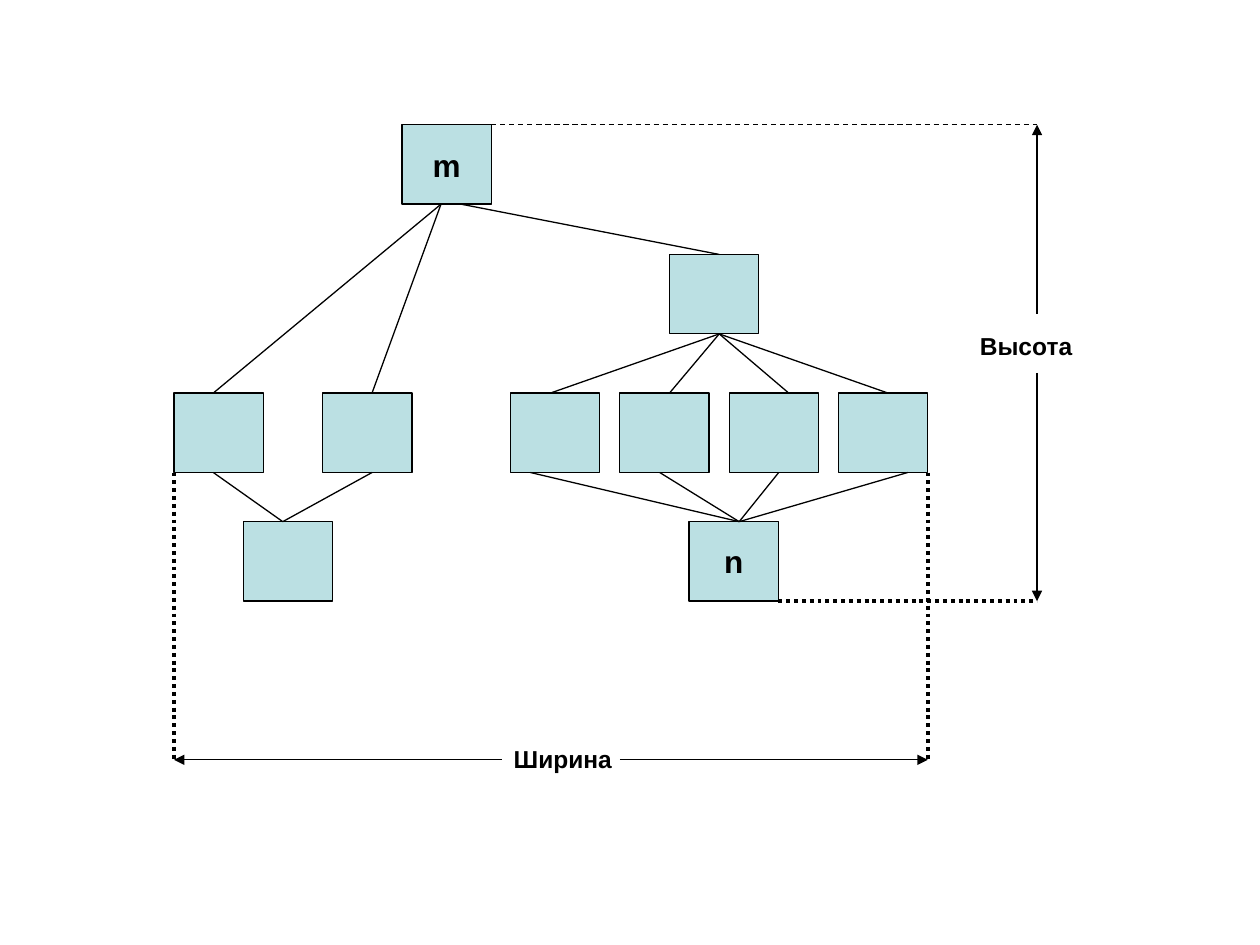
from lxml import etree
from pptx import Presentation
from pptx.dml.color import RGBColor
from pptx.enum import dml, shapes, text
from pptx.oxml.ns import qn
from pptx.util import Pt

BLACK = RGBColor(0, 0, 0)
NODE_FILL = RGBColor(0xBB, 0xE0, 0xE3)
NODE_W, NODE_H = 51, 45.4
ROWS = [71.3, 145.4, 224.6, 298.1]
BOTTOMS = [top + NODE_H for top in ROWS]
LEFT, RIGHT = 99.4, 530.2  # width limits of the tree
HEIGHT_X, WIDTH_Y = 592.6, 434.2  # positions of the dimension lines

deck = Presentation()
deck.slide_width, deck.slide_height = Pt(720), Pt(540)
page = deck.slides.add_slide(deck.slide_layouts[6])


def write(box, words, size, align, wrap):
    frame = box.text_frame
    settings = {"word_wrap": wrap, "vertical_anchor": text.MSO_ANCHOR.MIDDLE,
                "margin_left": Pt(7.2), "margin_right": Pt(7.2),
                "margin_top": Pt(3.6), "margin_bottom": Pt(3.6)}
    for name, value in settings.items():
        setattr(frame, name, value)
    para = frame.paragraphs[0]
    para.alignment = align
    span = para.add_run()
    span.text = words
    for name, value in {"name": "Arial", "size": Pt(size), "bold": True}.items():
        setattr(span.font, name, value)
    span.font.color.rgb = BLACK


def draw_line(start, end, width=0.75, dash=None, arrow=False):
    line = page.shapes.add_connector(
        shapes.MSO_CONNECTOR.STRAIGHT, *[Pt(value) for value in (*start, *end)])
    line.line.color.rgb = BLACK
    line.line.width = Pt(width)
    if dash:
        line.line.dash_style = dash
    if arrow:
        etree.SubElement(line.line._get_or_add_ln(), qn("a:tailEnd"), type="triangle")
    etree.SubElement(line._element.spPr, qn("a:effectLst"))


# Tree nodes: left, row, label
nodes = [(229.7, 0, "m"), (382.4, 1, ""), (LEFT, 2, ""), (184.4, 2, ""),
         (139, 3, ""), (393.8, 3, "n")]
nodes += [(291.7 + 62.5 * i, 2, "") for i in range(4)]
for left, row, label in nodes:
    node = page.shapes.add_shape(shapes.MSO_SHAPE.RECTANGLE, Pt(left), Pt(ROWS[row]),
                                 Pt(NODE_W), Pt(NODE_H))
    node.shadow.inherit = False
    node.fill.solid()
    node.fill.fore_color.rgb = NODE_FILL
    node.line.color.rgb = BLACK
    node.line.width = Pt(0.75)
    if label:
        write(node, label, 18, text.PP_ALIGN.CENTER, False)

# Branches: hub x, hub y, y of the far ends, x of the far ends
branches = [
    (252, BOTTOMS[0], ROWS[2], [121.9, 212.6]),
    (263.5, BOTTOMS[0], ROWS[1], [411]),
    (411, BOTTOMS[1], ROWS[2], [314.6, 382.6, 450.7, 507.4]),
    (161.6, ROWS[3], BOTTOMS[2], [121.9, 212.6]),
    (422.4, ROWS[3], BOTTOMS[2], [303.1, 377, 445, 518.7]),
]
for hub_x, hub_y, far_y, ends in branches:
    for far_x in ends:
        draw_line((hub_x, hub_y), (far_x, far_y))

# Extension lines
dotted = dml.MSO_LINE.ROUND_DOT
draw_line((280.7, ROWS[0]), (HEIGHT_X, ROWS[0]), dash=dml.MSO_LINE.DASH)
draw_line((444.8, BOTTOMS[3]), (HEIGHT_X, BOTTOMS[3]), 2.25, dotted)
for x in (LEFT, RIGHT):
    draw_line((x, BOTTOMS[2]), (x, WIDTH_Y), 2.25, dotted)

# Dimension arrows
draw_line((HEIGHT_X, 179.3), (HEIGHT_X, ROWS[0]), arrow=True)
draw_line((HEIGHT_X, 213.1), (HEIGHT_X, BOTTOMS[3]), arrow=True)
draw_line((354.3, WIDTH_Y), (RIGHT, WIDTH_Y), arrow=True)
draw_line((286.6, WIDTH_Y), (LEFT, WIDTH_Y), arrow=True)

# Dimension labels
for words, left, top, width, wrap in [("Высота", 552.8, 185.2, 73.4, True),
                                      ("Ширина", 286.4, 421.6, 70.6, False)]:
    box = page.shapes.add_textbox(Pt(left), Pt(top), Pt(width), Pt(24.5))
    write(box, words, 14, text.PP_ALIGN.LEFT, wrap)

deck.save("out.pptx")
